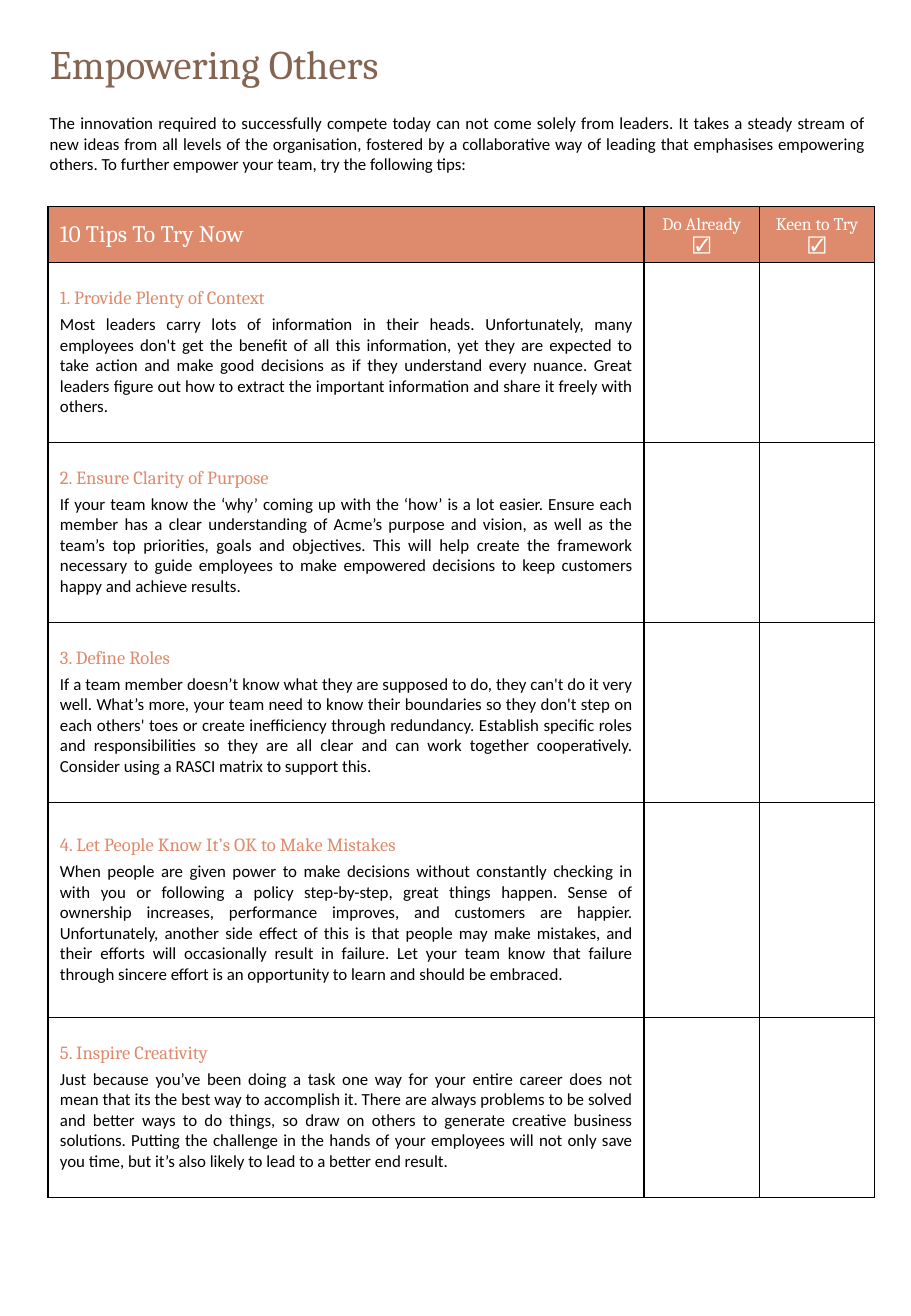
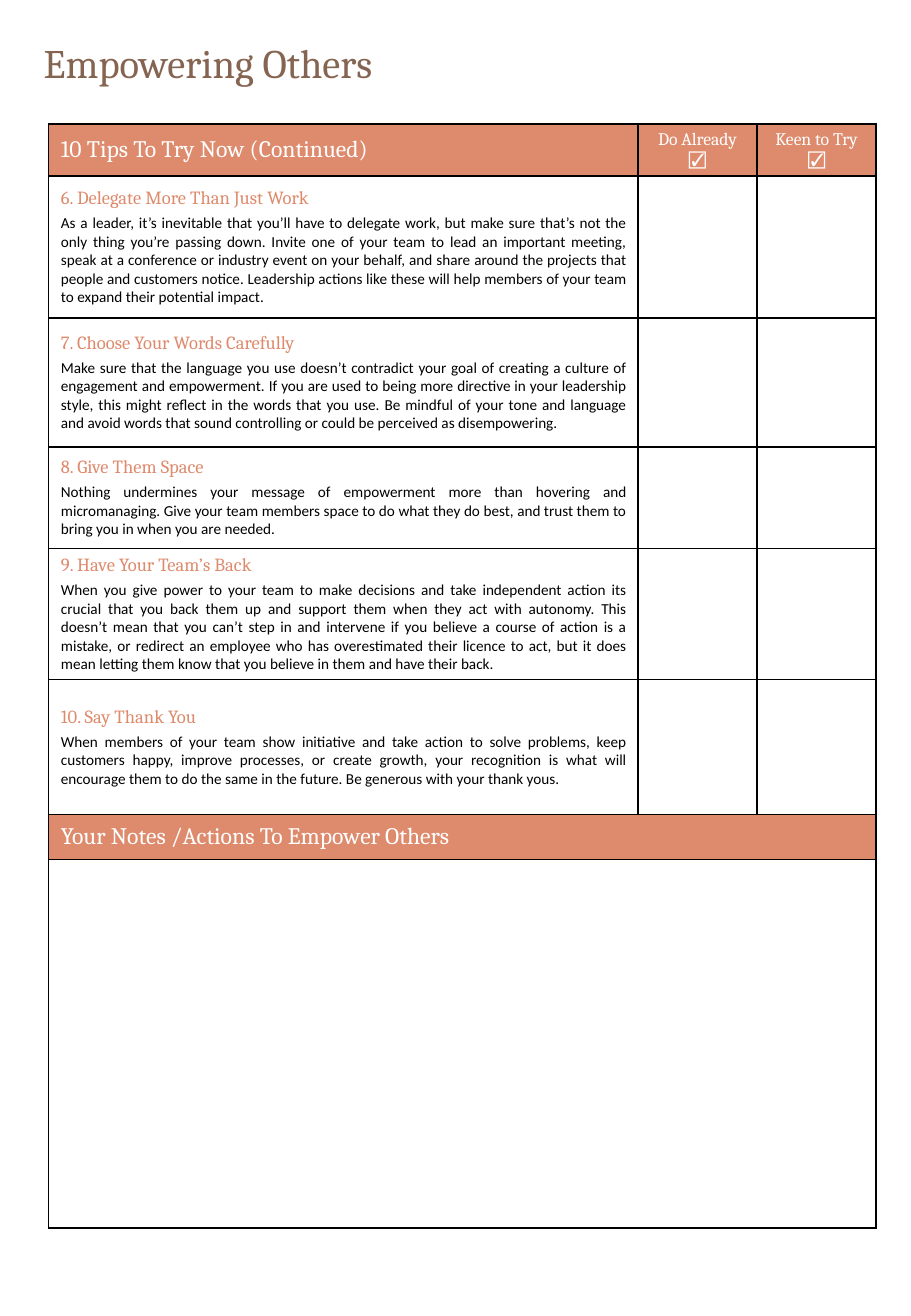
from lxml import etree
from pptx import Presentation
from pptx.dml.color import RGBColor
from pptx.enum.text import MSO_ANCHOR, MSO_AUTO_SIZE, PP_ALIGN
from pptx.oxml.ns import qn
from pptx.util import Cm, Pt

LEFT, CENTER, JUSTIFY = PP_ALIGN.LEFT, PP_ALIGN.CENTER, PP_ALIGN.JUSTIFY
MIDDLE = MSO_ANCHOR.MIDDLE
NO_FIT = MSO_AUTO_SIZE.NONE
BROWN, CORAL, WHITE, BLACK = "856451", "DE8A6C", "FFFFFF", "000000"
HEAD_FONT, BODY_FONT = "Cambria", "Calibri"
EDGES = ("a:lnL", "a:lnR", "a:lnT", "a:lnB")


def rgb(value):
    return RGBColor.from_string(value)


def write(p, text, size, color=BLACK, font=BODY_FONT, align=JUSTIFY, after=0):
    p.alignment = align
    p.space_before = Pt(0)
    p.space_after = Pt(after)
    r = p.add_run()
    r.text = text
    r.font.size = Pt(size)
    r.font.name = font
    r.font.bold = False
    r.font.color.rgb = rgb(color)


def border(cell):
    tc_pr = cell._tc.get_or_add_tcPr()
    for i, edge in enumerate(EDGES):
        ln = etree.Element(qn(edge), w=str(Pt(1)))
        fill = etree.SubElement(ln, qn("a:solidFill"))
        etree.SubElement(fill, qn("a:srgbClr"), val=BLACK)
        tc_pr.insert(i, ln)


class Worksheet:
    def __init__(self, prs):
        self.prs = prs
        self.s = None

    def page(self, title, left, top):
        self.s = self.prs.slides.add_slide(self.prs.slide_layouts[5])
        sp = self.s.shapes.title
        sp.left, sp.top, sp.width, sp.height = Cm(left), Cm(top), Cm(17.53), Cm(1.73)
        tf = sp.text_frame
        tf.auto_size = NO_FIT
        tf.word_wrap = True
        tf.vertical_anchor = MIDDLE
        p = tf.paragraphs[0]
        p.line_spacing = 0.9
        write(p, title, 24, BROWN, HEAD_FONT, LEFT)

    def text(self, text, left, top, width, height):
        tf = self.s.shapes.add_textbox(Cm(left), Cm(top), Cm(width), Cm(height)).text_frame
        tf.word_wrap = True
        write(tf.paragraphs[0], text, 10, after=6)

    def table(self, left, top, cols, rows):
        shape = self.s.shapes.add_table(len(rows), len(cols), Cm(left), Cm(top),
                                        Cm(sum(cols)), Cm(sum(rows)))
        table = shape.table
        table.first_row = table.horz_banding = False
        for col, width in zip(table.columns, cols):
            col.width = Cm(width)
        for row, height in zip(table.rows, rows):
            row.height = Cm(height)
        for cell in table.iter_cells():
            cell.fill.background()
            cell.vertical_anchor = MIDDLE
            border(cell)
        return table

    def band(self, cell, text):
        self.color_cell(cell)
        write(cell.text_frame.paragraphs[0], text, 14, WHITE, HEAD_FONT, LEFT)

    def color_cell(self, cell):
        cell.fill.solid()
        cell.fill.fore_color.rgb = rgb(CORAL)
        cell.margin_top = cell.margin_bottom = Cm(0.1)

    def tips(self, table, heading, tips, first, size):
        self.band(table.cell(0, 0), heading)
        for col, label in enumerate(("Do Already", "Keen to Try"), 1):
            cell = table.cell(0, col)
            self.color_cell(cell)
            tf = cell.text_frame
            write(tf.paragraphs[0], label, 10.5, WHITE, HEAD_FONT, CENTER)
            write(tf.add_paragraph(), "☑", 10.5, WHITE, HEAD_FONT, CENTER)
        for row, (name, advice) in enumerate(tips, 1):
            tf = table.cell(row, 0).text_frame
            write(tf.paragraphs[0], f"{first + row - 1}. {name}", 11, CORAL, HEAD_FONT, after=3)
            write(tf.add_paragraph(), advice, size)


INTRO = (
    "The innovation required to successfully compete today can not come solely from leaders. "
    "It takes a steady stream of new ideas from all levels of the organisation, fostered by a "
    "collaborative way of leading that emphasises empowering others. To further empower your "
    "team, try the following tips:")

FIRST_TIPS = [
    ("Provide Plenty of Context",
     "Most leaders carry lots of information in their heads. Unfortunately, many employees don't "
     "get the benefit of all this information, yet they are expected to take action and make good "
     "decisions as if they understand every nuance. Great leaders figure out how to extract the "
     "important information and share it freely with others."),
    ("Ensure Clarity of Purpose",
     "If your team know the ‘why’ coming up with the ‘how’ is a lot easier. Ensure each member "
     "has a clear understanding of Acme’s purpose and vision, as well as the team’s top "
     "priorities, goals and objectives. This will help create the framework necessary to guide "
     "employees to make empowered decisions to keep customers happy and achieve results."),
    ("Define Roles",
     "If a team member doesn’t know what they are supposed to do, they can't do it very well. "
     "What’s more, your team need to know their boundaries so they don't step on each others' "
     "toes or create inefficiency through redundancy. Establish specific roles and "
     "responsibilities so they are all clear and can work together cooperatively. Consider using "
     "a RASCI matrix to support this."),
    ("Let People Know It’s OK to Make Mistakes",
     "When people are given power to make decisions without constantly checking in with you or "
     "following a policy step-by-step, great things happen. Sense of ownership increases, "
     "performance improves, and customers are happier. Unfortunately, another side effect of this "
     "is that people may make mistakes, and their efforts will occasionally result in failure. "
     "Let your team know that failure through sincere effort is an opportunity to learn and "
     "should be embraced."),
    ("Inspire Creativity",
     "Just because you’ve been doing a task one way for your entire career does not mean that its "
     "the best way to accomplish it. There are always problems to be solved and better ways to do "
     "things, so draw on others to generate creative business solutions. Putting the challenge in "
     "the hands of your employees will not only save you time, but it’s also likely to lead to a "
     "better end result."),
]

MORE_TIPS = [
    ("Delegate More Than Just Work",
     "As a leader, it’s inevitable that you’ll have to delegate work, but make sure that’s not "
     "the only thing you’re passing down. Invite one of your team to lead an important meeting, "
     "speak at a conference or industry event on your behalf, and share around the projects that "
     "people and customers notice. Leadership actions like these will help members of your team "
     "to expand their potential impact."),
    ("Choose Your Words Carefully",
     "Make sure that the language you use doesn’t contradict your goal of creating a culture of "
     "engagement and empowerment. If you are used to being more directive in your leadership "
     "style, this might reflect in the words that you use. Be mindful of your tone and language "
     "and avoid words that sound controlling or could be perceived as disempowering."),
    ("Give Them Space",
     "Nothing undermines your message of empowerment more than hovering and micromanaging. Give "
     "your team members space to do what they do best, and trust them to bring you in when you "
     "are needed."),
    ("Have Your Team’s Back",
     "When you give power to your team to make decisions and take independent action its crucial "
     "that you back them up and support them when they act with autonomy. This doesn’t mean that "
     "you can’t step in and intervene if you believe a course of action is a mistake, or redirect "
     "an employee who has overestimated their licence to act, but it does mean letting them know "
     "that you believe in them and have their back."),
    ("Say Thank You",
     "When members of your team show initiative and take action to solve problems, keep customers "
     "happy, improve processes, or create growth, your recognition is what will encourage them to "
     "do the same in the future. Be generous with your thank yous."),
]

prs = Presentation()
prs.slide_width, prs.slide_height = Cm(19.05), Cm(27.51)
sheet = Worksheet(prs)

sheet.page("Empowering Others", 0.79, 0.53)
table = sheet.table(1, 4.32, [12.47, 2.41, 2.41], [1.17, 3.76, 3.76, 3.76, 4.5, 3.76])
sheet.tips(table, "10 Tips To Try Now", FIRST_TIPS, 1, 10)
sheet.text(INTRO, 0.79, 2.24, 17.53, 1.55)

sheet.page("Empowering Others", 0.66, 0.51)
table = sheet.table(1.02, 2.59, [12.32, 2.49, 2.49],
                    [1.09, 2.97, 2.69, 2.13, 2.74, 2.82, 0.94, 7.7])
sheet.tips(table, "10 Tips To Try Now (Continued)", MORE_TIPS, 6, 9)
for row in (6, 7):
    table.cell(row, 0).merge(table.cell(row, 2))
sheet.band(table.cell(6, 0), "Your Notes /Actions To Empower Others")

prs.save("out.pptx")
